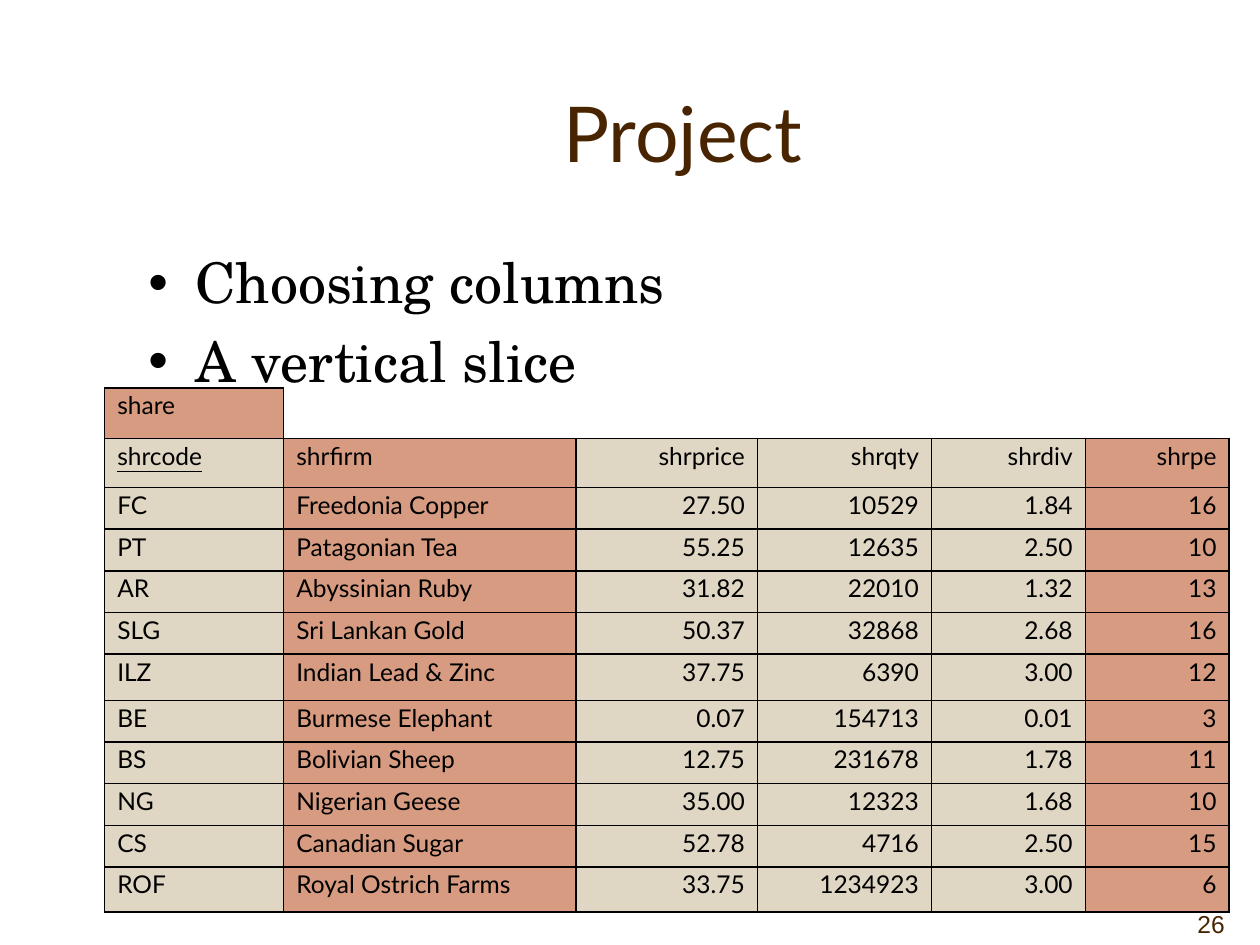
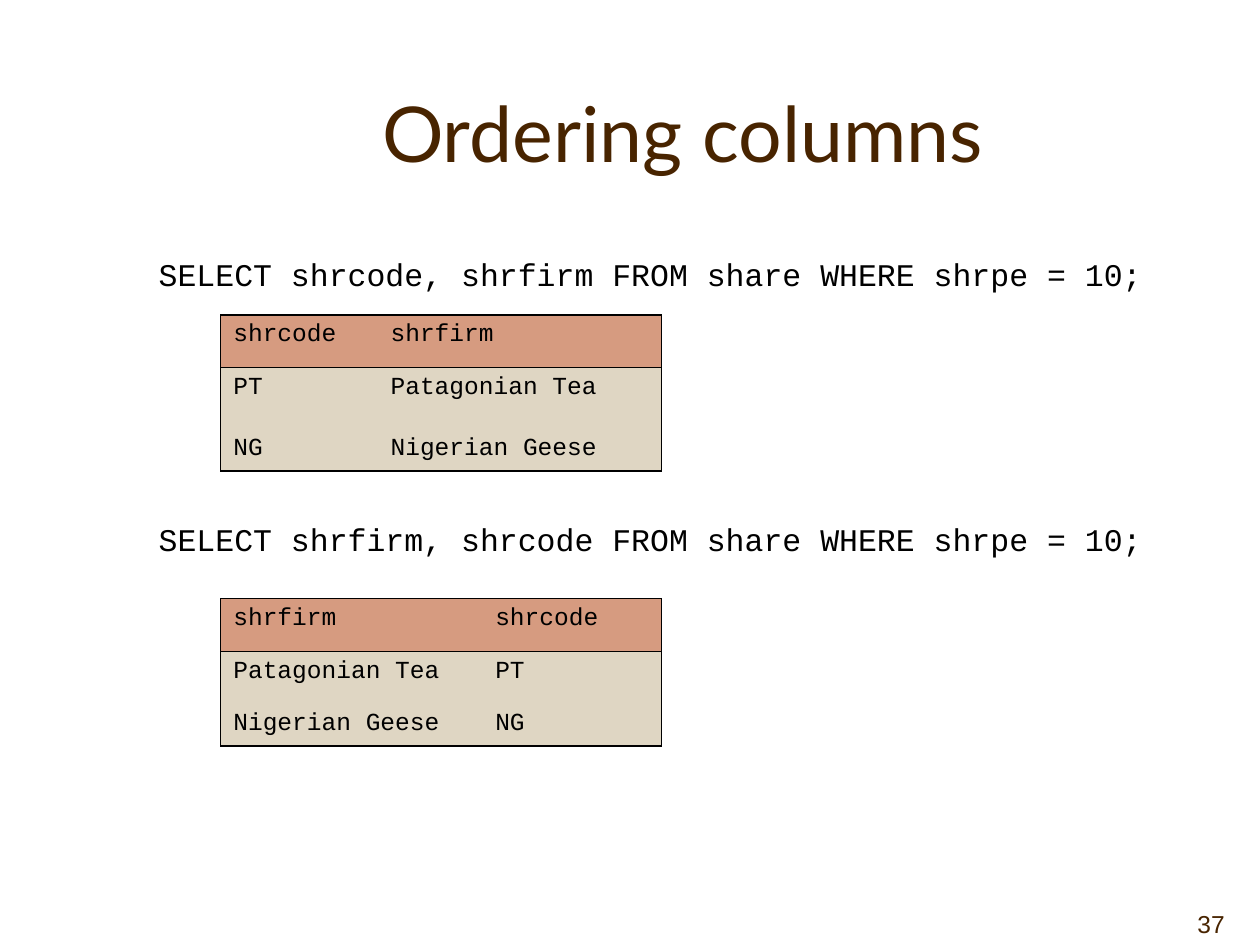
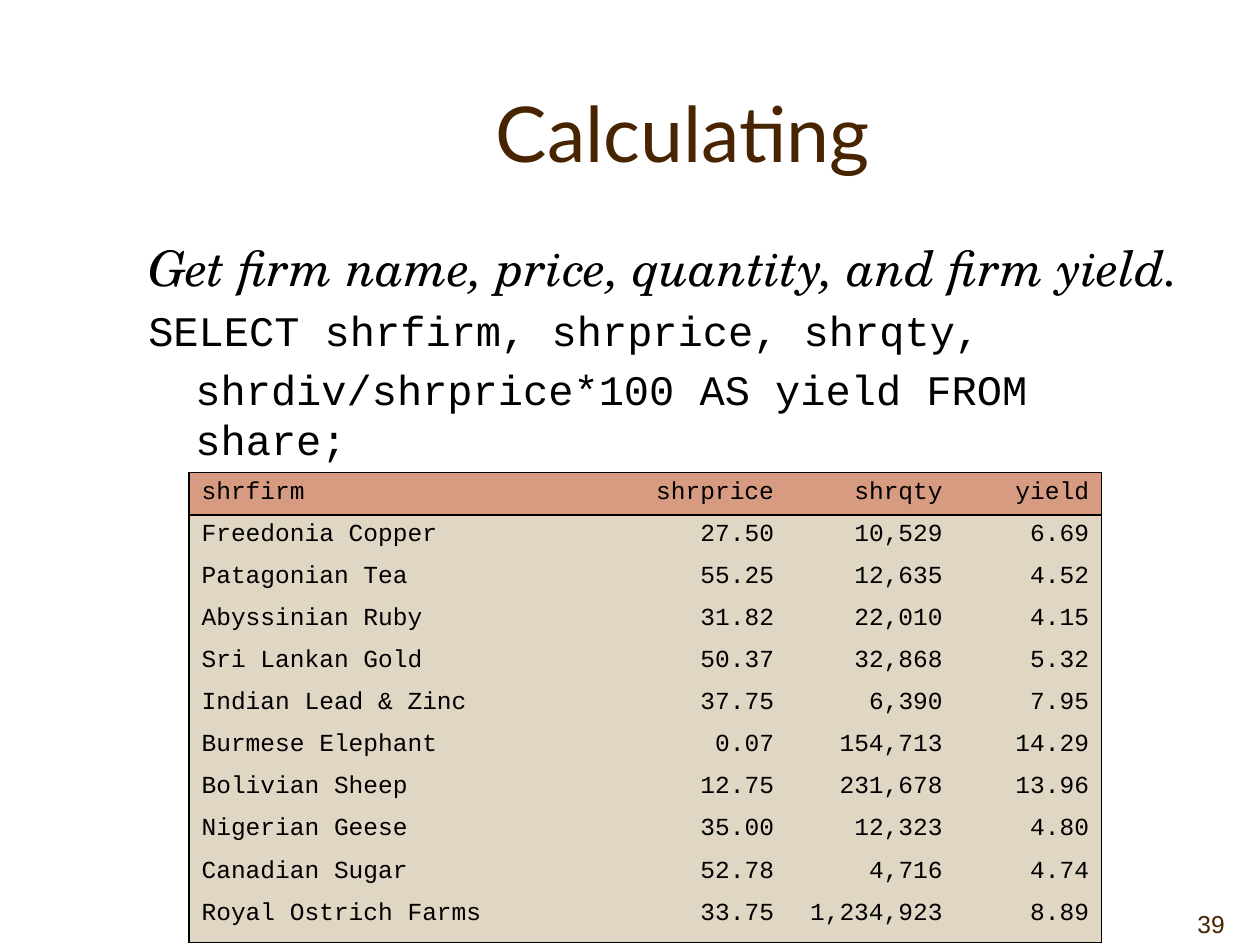
from dataclasses import dataclass
from typing import NamedTuple

from lxml.etree import SubElement
from pptx import Presentation
from pptx.dml.color import RGBColor
from pptx.enum.text import MSO_ANCHOR, PP_ALIGN
from pptx.oxml.ns import qn
from pptx.util import Cm, Pt

COLORS = {"brown": "482400", "ink": "000000", "clay": "D69B80", "sand": "DFD6C3"}
SANS, SERIF, MONO, PLAIN = "Lato", "TeX Gyre Schola", "Courier New", "Arial"
NO_STYLE = "{2D5ABB26-0587-4C30-8999-92F81FD0307C}"
HANG = 0.95
BODY_LEFT, BODY_WIDTH = 2.74, 21.59


class Box(NamedTuple):
    left: float
    top: float
    width: float
    height: float


class Share(NamedTuple):
    code: str
    firm: str
    price: float
    qty: int
    div: float
    pe: int


SHARES = [
    Share("FC", "Freedonia Copper", 27.50, 10529, 1.84, 16),
    Share("PT", "Patagonian Tea", 55.25, 12635, 2.50, 10),
    Share("AR", "Abyssinian Ruby", 31.82, 22010, 1.32, 13),
    Share("SLG", "Sri Lankan Gold", 50.37, 32868, 2.68, 16),
    Share("ILZ", "Indian Lead & Zinc", 37.75, 6390, 3.00, 12),
    Share("BE", "Burmese Elephant", 0.07, 154713, 0.01, 3),
    Share("BS", "Bolivian Sheep", 12.75, 231678, 1.78, 11),
    Share("NG", "Nigerian Geese", 35.00, 12323, 1.68, 10),
    Share("CS", "Canadian Sugar", 52.78, 4716, 2.50, 15),
    Share("ROF", "Royal Ostrich Farms", 33.75, 1234923, 3.00, 6),
]


@dataclass
class Line:
    text: str
    font: str
    size: float
    color: str = "ink"
    italic: bool = False
    align: PP_ALIGN = PP_ALIGN.LEFT
    left: float = 0
    first: float = 0
    bullet: bool = False


@dataclass
class Grid:
    left: float
    top: float
    cols: list[float]
    rows: list[float]
    cells: list[list[str]]
    font: str = MONO
    text_cols: int = 2  # columns aligned left; the others hold numbers
    spacing: float = 1.0


def style_run(r, font: str, size: float, color: str, italic: bool = False) -> None:
    r.font.name, r.font.size, r.font.italic = font, Pt(size), italic
    r.font.color.rgb = RGBColor.from_string(COLORS[color])


def add_text(s, box: Box, lines: list[Line], anchor=MSO_ANCHOR.TOP,
             top_inset: float = 0.13, right_inset: float = 0.25) -> None:
    tf = s.shapes.add_textbox(*map(Cm, box)).text_frame
    tf.word_wrap = True
    tf.vertical_anchor = anchor
    tf.margin_top, tf.margin_right = Cm(top_inset), Cm(right_inset)
    for i, line in enumerate(lines):
        p = tf.add_paragraph() if i else tf.paragraphs[0]
        p.alignment = line.align
        if i:
            p.space_before = Pt(line.size * 0.2)
        pPr = p._p.get_or_add_pPr()
        pPr.set("marL", str(Cm(line.left)))
        pPr.set("indent", str(Cm(line.first)))
        if line.bullet:
            SubElement(pPr, qn("a:buFont")).set("typeface", PLAIN)
            SubElement(pPr, qn("a:buChar")).set("char", "•")
        r = p.add_run()
        r.text = line.text
        style_run(r, line.font, line.size, line.color, line.italic)


def add_base(prs, title: str, number: int):
    """Add a slide with the shared title and page number."""
    s = prs.slides.add_slide(prs.slide_layouts[6])
    add_text(s, Box(23.5, 17.78, 1.88, 1.27),
             [Line(str(number), PLAIN, 14, "brown", align=PP_ALIGN.RIGHT)],
             MSO_ANCHOR.BOTTOM, right_inset=0.69)
    add_text(s, Box(2.97, 1.07, 21.59, 3.18),
             [Line(title, SANS, 44, "brown", align=PP_ALIGN.CENTER)], MSO_ANCHOR.MIDDLE)
    return s


def set_borders(cell, sides: str) -> None:
    """Draw 1 pt lines on the sides named by letters out of LRTB."""
    tcPr = cell._tc.get_or_add_tcPr()
    for side in "LRTB":
        ln = SubElement(tcPr, qn(f"a:ln{side}"), w=str(Pt(1)))
        if side in sides:
            fill = SubElement(ln, qn("a:solidFill"))
            SubElement(fill, qn("a:srgbClr"), val=COLORS["ink"])
        else:
            SubElement(ln, qn("a:noFill"))


def paint(cell, color: str) -> None:
    cell.fill.solid()
    cell.fill.fore_color.rgb = RGBColor.from_string(COLORS[color])


def frame_sides(row: int, col: int, n_rows: int, n_cols: int) -> str:
    """Sides of a cell on the outer frame or on the rule under the header."""
    return (("L" if col == 0 else "") + ("R" if col == n_cols - 1 else "")
            + ("T" if row < 2 else "") + ("B" if row in (0, n_rows - 1) else ""))


def add_grid(s, grid: Grid):
    """Add the table with its text; borders and fills come after."""
    n_rows, n_cols = len(grid.rows), len(grid.cols)
    table = s.shapes.add_table(n_rows, n_cols, Cm(grid.left), Cm(grid.top),
                               Cm(sum(grid.cols)), Cm(sum(grid.rows))).table
    table._tbl.tblPr.find(qn("a:tableStyleId")).text = NO_STYLE
    table.first_row = table.horz_banding = False
    for col, width in zip(table.columns, grid.cols):
        col.width = Cm(width)
    for row, height in zip(table.rows, grid.rows):
        row.height = Cm(height)
    for i, texts in enumerate(grid.cells):
        for j, text in enumerate(texts):
            p = table.cell(i, j).text_frame.paragraphs[0]
            p.alignment = PP_ALIGN.LEFT if j < grid.text_cols else PP_ALIGN.RIGHT
            p.line_spacing = grid.spacing
            r = p.add_run()
            r.text = text
            style_run(r, grid.font, 14, "ink")
    return table


def add_result(s, grid: Grid) -> None:
    """Add a query result: framed, with a clay header over sand rows."""
    table = add_grid(s, grid)
    n_rows, n_cols = len(grid.rows), len(grid.cols)
    for i in range(n_rows):
        for j in range(n_cols):
            cell = table.cell(i, j)
            set_borders(cell, frame_sides(i, j, n_rows, n_cols))
            paint(cell, "sand" if i else "clay")


def project_slide(prs) -> None:
    s = add_base(prs, "Project", 26)
    points = ["Choosing columns", "A vertical slice"]
    add_text(s, Box(BODY_LEFT, 4.65, BODY_WIDTH, 11),
             [Line(t, SERIF, 32, left=HANG, first=-HANG, bullet=True) for t in points],
             top_inset=0.35)

    header = ["shrcode", "shrfirm", "shrprice", "shrqty", "shrdiv", "shrpe"]
    records = [[x.code, x.firm, f"{x.price:.2f}", str(x.qty), f"{x.div:.2f}", str(x.pe)]
               for x in SHARES]
    table = add_grid(s, Grid(
        2.11, 7.82, [3.61, 5.89, 3.66, 3.51, 3.1, 2.9],
        [0.91, 0.99] + [0.84] * 4 + [0.93] + [0.84] * 4 + [0.91],
        [["share"], header, *records], SANS, spacing=0.88))
    table.cell(1, 0).text_frame.paragraphs[0].runs[0].font.underline = True

    table.cell(0, 1).merge(table.cell(0, 5))
    chosen = {1, 5}
    for i in range(len(table.rows)):
        for j in range(len(header)):
            cell = table.cell(i, j)
            if i == 0 and j > 0:
                set_borders(cell, "LB" if j == 1 else "B")
                cell.fill.background()
            else:
                set_borders(cell, "LRTB")
                paint(cell, "clay" if i == 0 or j in chosen else "sand")


def ordering_slide(prs) -> None:
    s = add_base(prs, "Ordering columns", 37)
    pairs = [["shrcode", "shrfirm"]] + [[x.code, x.firm] for x in SHARES if x.pe == 10]
    swapped = [pair[::-1] for pair in pairs]
    queries = [
        (Box(2.95, 4.9, BODY_WIDTH, 5.33),
         Grid(4.45, 6.35, [3.17, 5.72], [1.06, 1.24, 0.84], pairs)),
        (Box(2.95, 10.23, BODY_WIDTH, 6.1),
         Grid(4.45, 12.07, [5.28, 3.61], [1.06, 1.06, 0.84], swapped)),
    ]
    for box, grid in queries:
        sql = f"SELECT {', '.join(grid.cells[0])} FROM share WHERE shrpe = 10;"
        add_text(s, box, [Line(sql, MONO, 18, left=HANG, first=-HANG)], top_inset=0.25)
        add_result(s, grid)


def calculating_slide(prs) -> None:
    s = add_base(prs, "Calculating", 39)
    add_text(s, Box(BODY_LEFT, 4.45, BODY_WIDTH, 11.23), [
        Line("Get firm name, price, quantity, and firm yield.", SERIF, 28,
             italic=True, left=HANG, first=-HANG),
        Line("SELECT shrfirm, shrprice, shrqty,", MONO, 24, left=HANG, first=-HANG),
        Line("shrdiv/shrprice*100 AS yield FROM share;", MONO, 24, left=HANG),
    ], top_inset=0.33)
    records = [[x.firm, f"{x.price:.2f}", f"{x.qty:,}", f"{x.div / x.price * 100:.2f}"]
               for x in SHARES]
    add_result(s, Grid(3.81, 9.53, [8.87, 3.18, 3.4, 2.95], [0.81] * 10 + [0.99],
                       [["shrfirm", "shrprice", "shrqty", "yield"], *records], text_cols=1))


def main() -> None:
    prs = Presentation()
    prs.slide_width, prs.slide_height = Cm(25.4), Cm(19.05)
    project_slide(prs)
    ordering_slide(prs)
    calculating_slide(prs)
    prs.save("out.pptx")


if __name__ == "__main__":
    main()
